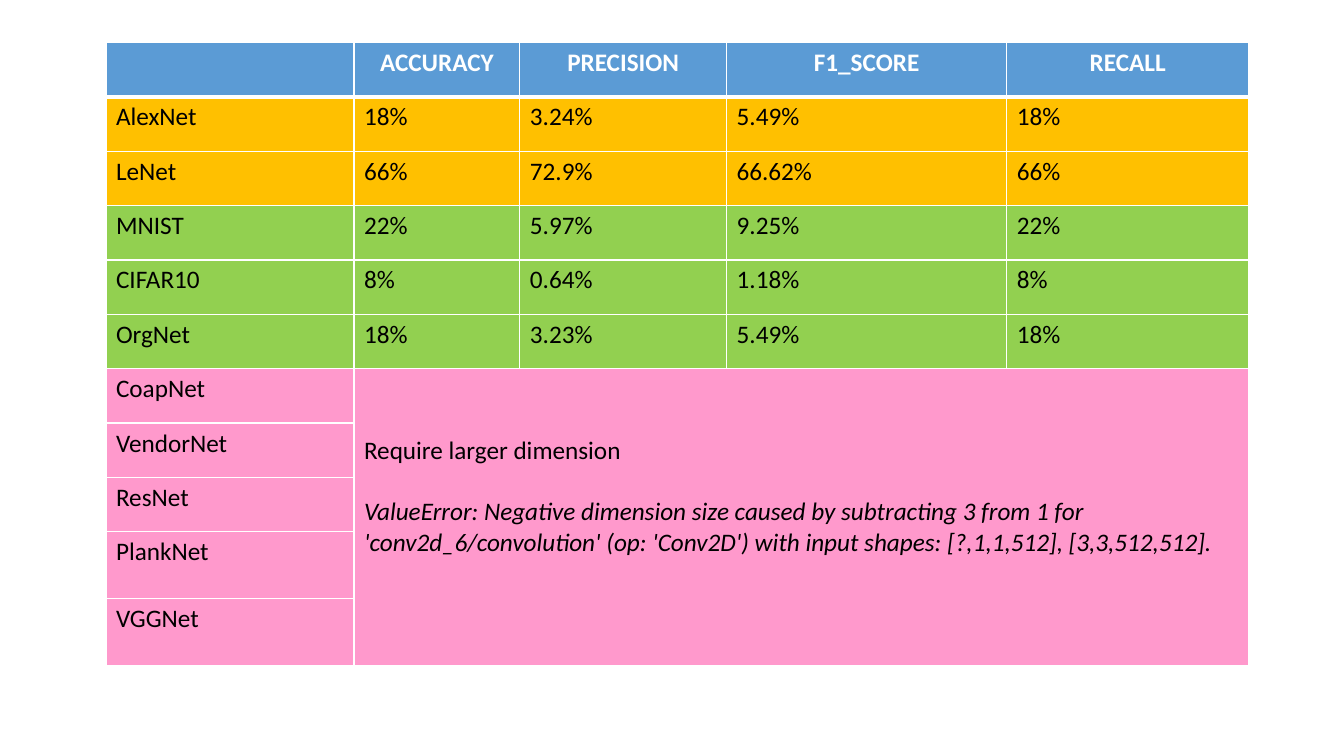
from lxml import etree
from pptx import Presentation
from pptx.dml.color import RGBColor
from pptx.enum.text import PP_ALIGN
from pptx.oxml.ns import qn
from pptx.util import Cm, Pt

LEFT, CENTER = PP_ALIGN.LEFT, PP_ALIGN.CENTER
WHITE = RGBColor(0xFF, 0xFF, 0xFF)
BLACK = RGBColor(0, 0, 0)
BLUE = RGBColor(0x5B, 0x9B, 0xD5)
AMBER = RGBColor(0xFF, 0xC0, 0x00)
GREEN = RGBColor(0x92, 0xD0, 0x50)
PINK = RGBColor(0xFF, 0x99, 0xCC)

BODY_FORMAT = {"name": "Calibri", "size": Pt(18), "bold": False, "italic": False}
HEADER_FORMAT = {**BODY_FORMAT, "bold": True}
ERROR_FORMAT = {**BODY_FORMAT, "italic": True}

METRICS = ["", "ACCURACY", "PRECISION", "F1_SCORE", "RECALL"]
SCORES = [
    (AMBER, ["AlexNet", "18%", "3.24%", "5.49%", "18%"]),
    (AMBER, ["LeNet", "66%", "72.9%", "66.62%", "66%"]),
    (GREEN, ["MNIST", "22%", "5.97%", "9.25%", "22%"]),
    (GREEN, ["CIFAR10", "8%", "0.64%", "1.18%", "8%"]),
    (GREEN, ["OrgNet", "18%", "3.23%", "5.49%", "18%"]),
]
FAILED_NETS = ["CoapNet", "VendorNet", "ResNet", "PlankNet", "VGGNet"]
REASON = "Require larger dimension"
ERROR = (
    "ValueError: Negative dimension size caused by subtracting 3 from 1 for "
    "'conv2d_6/convolution' (op: 'Conv2D') with input shapes: "
    "[?,1,1,512], [3,3,512,512]."
)

SLIDE_SIZE = Cm(33.87), Cm(19.05)
RESULTS_BOX = Cm(2.67), Cm(1.07), Cm(28.8), Cm(15.69)
COLUMN_WIDTHS = [6.25, 4.18, 5.21, 7.06, 6.1]
ROW_HEIGHTS = [1.37] * 9 + [1.68] * 2


def write(paragraph, text, style, color, alignment=LEFT):
    """Put one formatted run into a paragraph."""
    paragraph.alignment = alignment
    run = paragraph.add_run()
    run.text = text
    for attribute, value in style.items():
        setattr(run.font, attribute, value)
    run.font.color.rgb = color


def dress(cell, fill, top=1, bottom=1):
    """Give a cell its white borders, in points, and its fill."""
    properties = cell._tc.get_or_add_tcPr()
    for side, width in {"lnL": 1, "lnR": 1, "lnT": top, "lnB": bottom}.items():
        border = etree.SubElement(properties, qn(f"a:{side}"), w=str(Pt(width)))
        solid = etree.SubElement(border, qn("a:solidFill"))
        etree.SubElement(solid, qn("a:srgbClr"), val=str(WHITE))
    cell.fill.solid()
    cell.fill.fore_color.rgb = fill


def add_failure_note(table, first_row):
    """Merge the cells beside the failed nets and explain the failure."""
    note = table.cell(first_row, 1)
    note.merge(table.cell(len(ROW_HEIGHTS) - 1, len(METRICS) - 1))
    note.margin_top = Cm(1.68)
    write(note.text_frame.paragraphs[0], REASON, BODY_FORMAT, BLACK)
    error = note.text_frame.add_paragraph()
    error.space_before = Pt(22)
    write(error, ERROR, ERROR_FORMAT, BLACK)


def add_results(slide, box):
    """Build the table of network scores inside the given box."""
    rows = [(BLUE, METRICS), *SCORES]
    rows += [(PINK, [net, "", "", "", ""]) for net in FAILED_NETS]
    table = slide.shapes.add_table(len(rows), len(METRICS), *box).table
    for column, width in zip(table.columns, COLUMN_WIDTHS):
        column.width = Cm(width)
    for row, height in zip(table.rows, ROW_HEIGHTS):
        row.height = Cm(height)
    for index, (fill, texts) in enumerate(rows):
        header = index == 0
        style, color, alignment = (
            (HEADER_FORMAT, WHITE, CENTER) if header else (BODY_FORMAT, BLACK, LEFT)
        )
        for cell, text in zip(table.rows[index].cells, texts):
            dress(cell, fill, 3 if index == 1 else 1, 3 if header else 1)
            if text:
                write(cell.text_frame.paragraphs[0], text, style, color, alignment)
    add_failure_note(table, 1 + len(SCORES))


def main():
    """Create the one-slide deck and save it."""
    deck = Presentation()
    deck.slide_width, deck.slide_height = SLIDE_SIZE
    slide = deck.slides.add_slide(deck.slide_layouts[6])
    add_results(slide, RESULTS_BOX)
    deck.save("out.pptx")


main()
